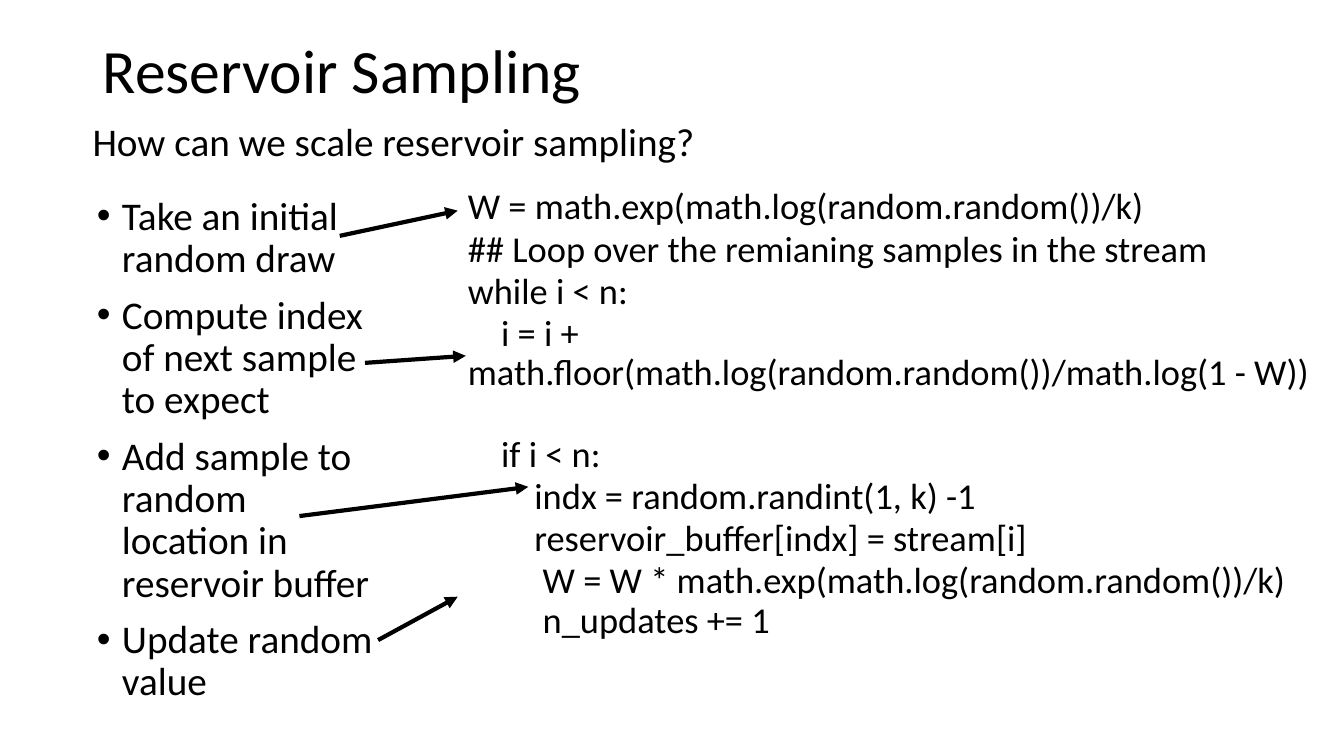
from pptx import Presentation, util as u
from pptx.dml.color import RGBColor
from pptx.enum import shapes, text
from pptx.oxml import parse_xml
from pptx.oxml.ns import nsdecls, qn

COLORS = {"ink": "000000", "paper": "FFFFFF"}
FONT = "Calibri"
WIDTH, HEIGHT = 13.33, 7.5
STEP = 0.33

TITLE = "Reservoir Sampling"
QUESTION = "How can we scale reservoir sampling?"
STEPS = [
    "Take an initial random draw",
    "Compute index of next sample to expect",
    "Add sample to random location in reservoir buffer",
    "Update random value",
]
CODE = [
    {"line": "W = math.exp(math.log(random.random())/k)"},
    {"line": "## Loop over the remianing samples in the stream"},
    {"line": "while i < n:"},
    {"line": "i = i + math.floor(math.log(random.random())/math.log(1 - W))",
     "first": STEP},
    {"line": "if i < n:", "left": STEP, "before": 30.5},
    {"line": "indx = random.randint(1, k) -1", "left": 2 * STEP},
    {"line": "reservoir_buffer[indx] = stream[i]", "left": 2 * STEP},
    {"line": "W = W * math.exp(math.log(random.random())/k)", "left": 2.25 * STEP},
    {"line": "n_updates += 1", "left": 2.25 * STEP, "before": 0},
]
ARROWS = [
    ((3.37, 2.34), (4.54, 2.09)),
    ((3.62, 3.6), (4.62, 3.53)),
    ((2.97, 5.12), (5.24, 4.83)),
    ((3.75, 6.35), (4.54, 5.92)),
]


def place(box, left, top, width, height, anchor=text.MSO_ANCHOR.TOP):
    box.left, box.top = u.Inches(left), u.Inches(top)
    box.width, box.height = u.Inches(width), u.Inches(height)
    frame = box.text_frame
    frame.word_wrap = True
    frame.auto_size = text.MSO_AUTO_SIZE.NONE
    frame.vertical_anchor = anchor
    return frame


def write(frame, line, size=28, spacing=0.9, before=0, left=0, first=0, bullet=None):
    para = frame.paragraphs[0]
    if para.runs:
        para = frame.add_paragraph()
    para.alignment = text.PP_ALIGN.LEFT
    para.line_spacing = spacing
    para.space_before, para.space_after = u.Pt(before), u.Pt(0)
    props = para._p.get_or_add_pPr()
    props.set("marL", str(u.Inches(left)))
    props.set("indent", str(u.Inches(first)))
    if bullet:
        props.append(parse_xml(f'<a:buFont {nsdecls("a")} typeface="Arial"/>'))
        props.append(parse_xml(f'<a:buChar {nsdecls("a")} char="{bullet}"/>'))
    else:
        props.append(parse_xml(f'<a:buNone {nsdecls("a")}/>'))
    span = para.add_run()
    span.text = line
    span.font.name, span.font.size = FONT, u.Pt(size)
    span.font.color.rgb = RGBColor.from_string(COLORS["ink"])


def draw_arrow(page, start, end):
    arrow = page.shapes.add_connector(
        shapes.MSO_CONNECTOR.STRAIGHT, *(u.Inches(value) for value in start + end))
    arrow.line.width = u.Pt(3)
    arrow.line.color.rgb = RGBColor.from_string(COLORS["ink"])
    arrow.line._get_or_add_ln().append(
        parse_xml(f'<a:tailEnd {nsdecls("a")} type="triangle"/>'))
    arrow._element.find(qn("p:spPr")).append(
        parse_xml(f'<a:effectLst {nsdecls("a")}/>'))


def main():
    deck = Presentation()
    deck.slide_width, deck.slide_height = u.Inches(WIDTH), u.Inches(HEIGHT)
    page = deck.slides.add_slide(deck.slide_layouts[3])
    page.background.fill.solid()
    page.background.fill.fore_color.rgb = RGBColor.from_string(COLORS["paper"])
    title, steps, code = page.placeholders

    write(place(title, 0.92, 0, 11.5, 1.45, text.MSO_ANCHOR.MIDDLE), TITLE, size=44)

    steps_frame = place(steps, 0.86, 1.9, 2.94, 5.31)
    for step in STEPS:
        write(steps_frame, step, before=10, left=0.25, first=-0.25, bullet="•")

    question = page.shapes.add_textbox(0, 0, 0, 0)
    write(place(question, 0.82, 1.2, 12.23, 0.49), QUESTION, spacing=0.8, before=10)

    code_frame = place(code, 4.54, 1.82, 8.65, 5.53)
    for entry in CODE:
        write(code_frame, **{"size": 26, "before": 2, **entry})

    for start, end in ARROWS:
        draw_arrow(page, start, end)
    deck.save("out.pptx")


if __name__ == "__main__":
    main()
